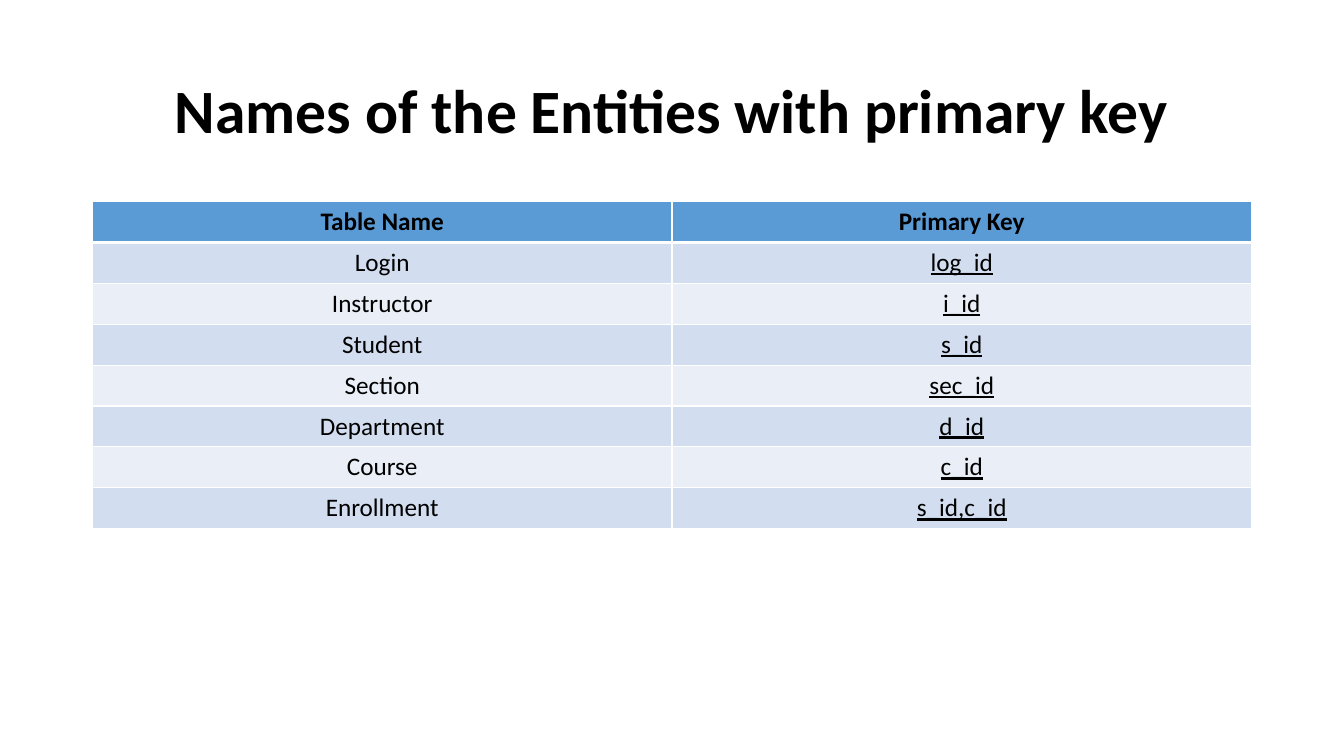
import pptx
import pptx.util
import pptx.dml.color
import pptx.enum.text
import pptx.oxml
import pptx.oxml.ns

Cm, Pt = pptx.util.Cm, pptx.util.Pt
RGB = pptx.dml.color.RGBColor.from_string
CENTER = pptx.enum.text.PP_ALIGN.CENTER
MIDDLE = pptx.enum.text.MSO_ANCHOR.MIDDLE

theme = {
    "font": "Calibri", "ink": "000000", "line": "FFFFFF",
    "head": "5B9BD5", "bands": ["EAEFF7", "D2DEEF"],
    "title": 44, "text": 18,
}


def style(para, size, **extra):
    para.alignment = CENTER
    font = para.runs[0].font
    font.color.rgb = RGB(theme["ink"])
    for key, value in {"name": theme["font"], "size": Pt(size), **extra}.items():
        setattr(font, key, value)


def border(cell, low):
    props = cell._tc.get_or_add_tcPr()
    for side, width in {"L": 1, "R": 1, "T": 1, "B": low}.items():
        props.append(pptx.oxml.parse_xml(
            f'<a:ln{side} {pptx.oxml.ns.nsdecls("a")} w="{Pt(width)}">'
            f'<a:solidFill><a:srgbClr val="{theme["line"]}"/></a:solidFill>'
            f'</a:ln{side}>'))


# Slide
deck = pptx.Presentation()
deck.slide_width, deck.slide_height = Cm(33.87), Cm(19.05)
slide = deck.slides.add_slide(deck.slide_layouts[5])
left, width = Cm(2.33), Cm(29.21)

# Title
title = slide.shapes.title
place = {"left": left, "top": Cm(1.01), "width": width, "height": Cm(3.68)}
for key, value in place.items():
    setattr(title, key, value)
title.text_frame.text = "Names of the Entities with primary key"
title.text_frame.vertical_anchor = MIDDLE
para = title.text_frame.paragraphs[0]
para.line_spacing = 0.9
style(para, theme["title"], bold=True)

# Table of entities and keys
rows = [
    ("Table Name", "Primary Key"),
    ("Login", "log_id"),
    ("Instructor", "i_id"),
    ("Student", "s_id"),
    ("Section", "sec_id"),
    ("Department", "d_id"),
    ("Course", "c_id"),
    ("Enrollment", "s_id,c_id"),
]
grid = slide.shapes.add_table(
    len(rows), 2, left, Cm(5.08), width, Cm(1.03) * len(rows)).table
for r, row in enumerate(rows):
    head = r == 0
    for c, text in enumerate(row):
        cell = grid.cell(r, c)
        cell.text = text
        style(cell.text_frame.paragraphs[0], theme["text"],
              bold=head, underline=c == 1 and not head)
        border(cell, 3 if head else 1)
        cell.fill.solid()
        cell.fill.fore_color.rgb = RGB(
            theme["head"] if head else theme["bands"][r % 2])
    # The header's thick rule is shared with the row below
    if r == 1:
        for cell in grid.rows[r].cells:
            top = cell._tc.tcPr.find(pptx.oxml.ns.qn("a:lnT"))
            top.set("w", str(Pt(3)))

deck.save("out.pptx")
